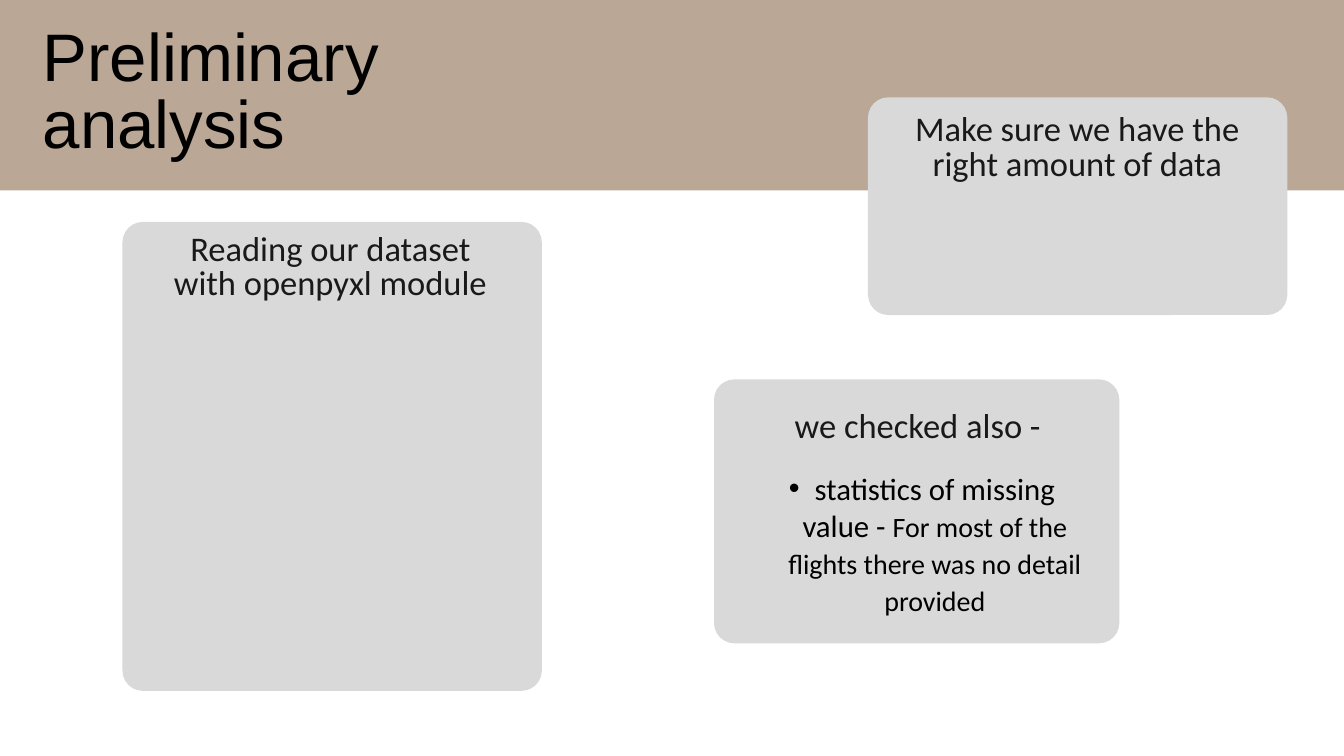
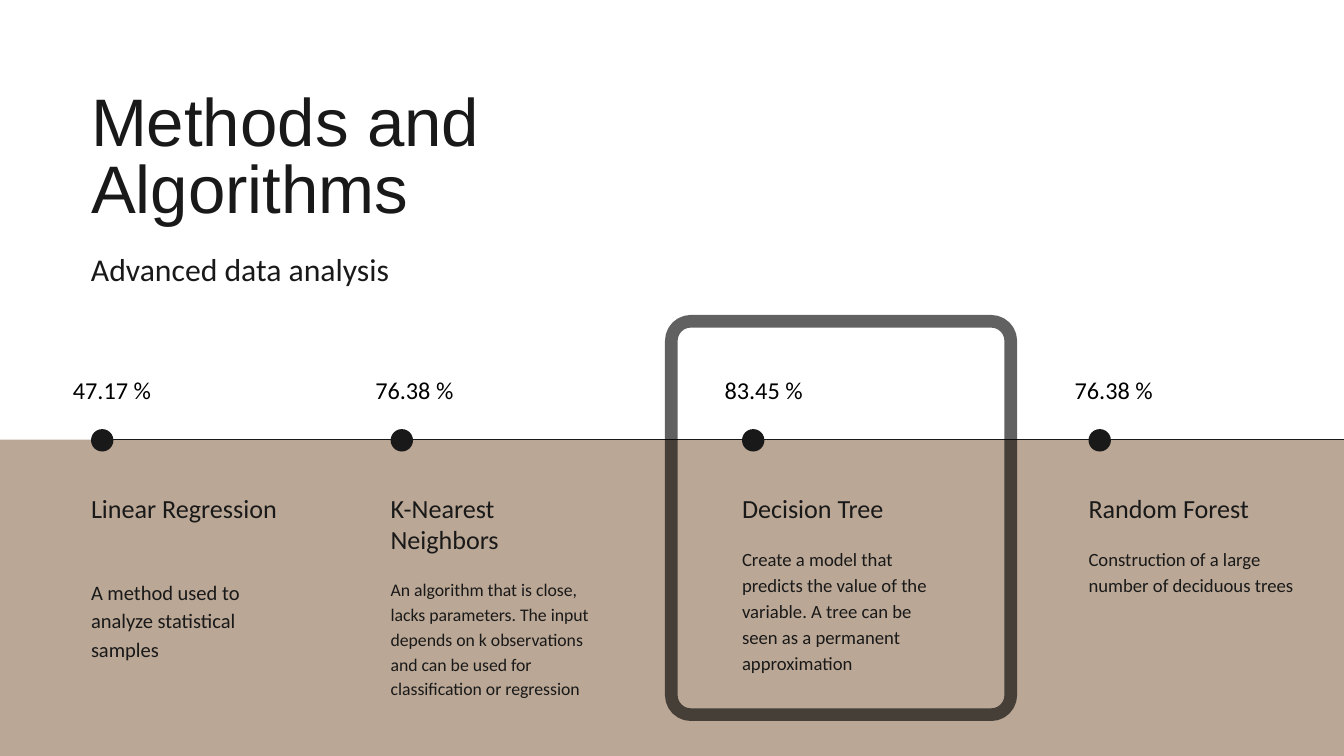
import dataclasses

import lxml.etree
import pptx
import pptx.dml.color
import pptx.enum.shapes
import pptx.enum.text
import pptx.oxml.ns
import pptx.util

PX = 9525  # EMU in one px, 96 px to the inch
LEFT = pptx.enum.text.PP_ALIGN.LEFT
CENTER = pptx.enum.text.PP_ALIGN.CENTER
SHAPES = pptx.enum.shapes.MSO_SHAPE


@dataclasses.dataclass(frozen=True)
class Style:
    size: int
    leading: float = 1.2
    color: str = "191919"
    align: int = LEFT
    font: str = "Calibri"


@dataclasses.dataclass(frozen=True)
class Theme:
    ink: str = "191919"
    black: str = "000000"
    white: str = "FFFFFF"
    band: str = "BAA795"
    card: str = "D9D9D9"
    title: Style = Style(72, 1, font="Arial")
    black_title: Style = Style(72, 1, "000000", font="Arial")
    subtitle: Style = Style(34)
    card_heading: Style = Style(37, 1, align=CENTER)
    card_bullet: Style = Style(33, 1.2, "000000", CENTER)
    bullet_detail: int = 30
    score: Style = Style(26, 1.2, "000000", CENTER)
    method: Style = Style(28)


THEME = Theme()


def add_filled(slide, kind, box, color, radius=0):
    """Add a borderless preset shape; box and radius are in px."""
    shape = slide.shapes.add_shape(kind, *(value * PX for value in box))
    shape.shadow.inherit = False
    shape.fill.solid()
    shape.fill.fore_color.rgb = pptx.dml.color.RGBColor.from_string(color)
    shape.line.fill.background()
    if radius:
        shape.adjustments[0] = radius / min(box[2:])
    return shape


def write(slide, box, text, style, shape=None):
    """Put one paragraph in a new text box, or in the given placeholder."""
    shape = shape or slide.shapes.add_textbox(0, 0, 0, 0)
    slide.shapes._spTree.append(shape._element)  # bring to front
    for name, value in zip(("left", "top", "width", "height"), box):
        setattr(shape, name, value * PX)
    frame = shape.text_frame
    frame_format = {
        "word_wrap": True,
        "auto_size": pptx.enum.text.MSO_AUTO_SIZE.NONE,
        "vertical_anchor": pptx.enum.text.MSO_ANCHOR.TOP,
        "margin_left": 0,
        "margin_top": 0,
        "margin_right": 0,
        "margin_bottom": 0,
    }
    for name, value in frame_format.items():
        setattr(frame, name, value)
    paragraph = frame.paragraphs[0]
    paragraph.alignment = style.align
    paragraph.line_spacing = pptx.util.Pt(style.size * style.leading)
    for part in [text] if isinstance(text, str) else text:
        run = paragraph.add_run()
        run.text = part
        run.font.name = style.font
        run.font.size = pptx.util.Pt(style.size)
        run.font.color.rgb = pptx.dml.color.RGBColor.from_string(style.color)
    return paragraph


presentation = pptx.Presentation()
presentation.slide_width = 1920 * PX
presentation.slide_height = 1080 * PX
title_only = presentation.slide_layouts[5]

# Slide 1: preliminary analysis
slide = presentation.slides.add_slide(title_only)
add_filled(slide, SHAPES.RECTANGLE, (-63, -68, 2048, 340), THEME.band)
cards = [
    ((175, 317, 599, 670), (236, 334, 472, 155), "Reading our dataset with openpyxl module"),
    ((1240, 139, 599, 311), (1303, 163, 472, 155), "Make sure we have the right amount of data"),
    ((1020, 542, 579, 377), (1075, 587, 472, 57), "we checked also -"),
]
for card_box, heading_box, heading in cards:
    add_filled(slide, SHAPES.ROUNDED_RECTANGLE, card_box, THEME.card, radius=29)
    write(slide, heading_box, heading, THEME.card_heading)
write(slide, (61, 39, 612, 205), "Preliminary analysis", THEME.black_title, slide.shapes.title)

finding = write(
    slide,
    (1040, 671, 516, 215),
    ["statistics of missing value - ", "For most of the flights there was no detail provided"],
    THEME.card_bullet,
)
finding.runs[1].font.size = pptx.util.Pt(THEME.bullet_detail)
finding.level = 1
properties = finding._p.get_or_add_pPr()
properties.set("marL", str(75 * PX))
properties.set("indent", str(-37 * PX))
for tag, name, value in (("a:buFont", "typeface", "Arial"), ("a:buChar", "char", "•")):
    lxml.etree.SubElement(properties, pptx.oxml.ns.qn(tag)).set(name, value)

# Slide 2: methods and algorithms
slide = presentation.slides.add_slide(title_only)
add_filled(slide, SHAPES.RECTANGLE, (-73, 348, 2048, 732), THEME.band)
add_filled(slide, SHAPES.RECTANGLE, (-20, 17, 1960, 611), THEME.white)
timeline = slide.shapes.add_connector(
    pptx.enum.shapes.MSO_CONNECTOR.STRAIGHT, 145 * PX, 628 * PX, 1974 * PX, 628 * PX
)
timeline.line.width = 1 * PX
timeline.line.color.rgb = pptx.dml.color.RGBColor.from_string(THEME.ink)
lxml.etree.SubElement(timeline._element.spPr, pptx.oxml.ns.qn("a:effectLst"))

# left, score, score centre, name, description, its top, height and type size
methods = [
    (130, "47.17 %", 160, "Linear Regression",
     "A method used to analyze statistical samples", 822, 202, 22),
    (558, "76.38 %", 592, "K-Nearest Neighbors",
     "An algorithm that is close, lacks parameters. The input depends on k observations "
     "and can be used for classification or regression", 822, 251, 19),
    (1060, "83.45 %", 1091, "Decision Tree",
     "Create a model that predicts the value of the variable. A tree can be seen as a "
     "permanent approximation", 777, 225, 20),
    (1555, "76.38 %", 1591, "Random Forest",
     "Construction of a large number of deciduous trees", 777, 150, 20),
]
for left, score, center, name, description, top, height, size in methods:
    add_filled(slide, SHAPES.OVAL, (left, 613, 32, 32), THEME.ink)
    write(slide, (left, top, 299, height), description, Style(size, 1.4))
    write(slide, (left, 703, 299, top - 730), name, THEME.method)
    write(slide, (center - 67, 536, 134, 45), score, THEME.score)

highlight = add_filled(
    slide, SHAPES.ROUNDED_RECTANGLE, (959, 459, 485, 562), THEME.white, radius=28
)
highlight.fill.background()
highlight.line.width = 18 * PX
highlight.line.color.rgb = pptx.dml.color.RGBColor.from_string(THEME.black)
line_color = highlight.line._ln.find(".//" + pptx.oxml.ns.qn("a:srgbClr"))
lxml.etree.SubElement(line_color, pptx.oxml.ns.qn("a:alpha")).set("val", "62000")

write(slide, (130, 132, 856, 206), "Methods and Algorithms", THEME.title, slide.shapes.title)
write(slide, (130, 357, 856, 59), "Advanced data analysis", THEME.subtitle)

presentation.save("out.pptx")
